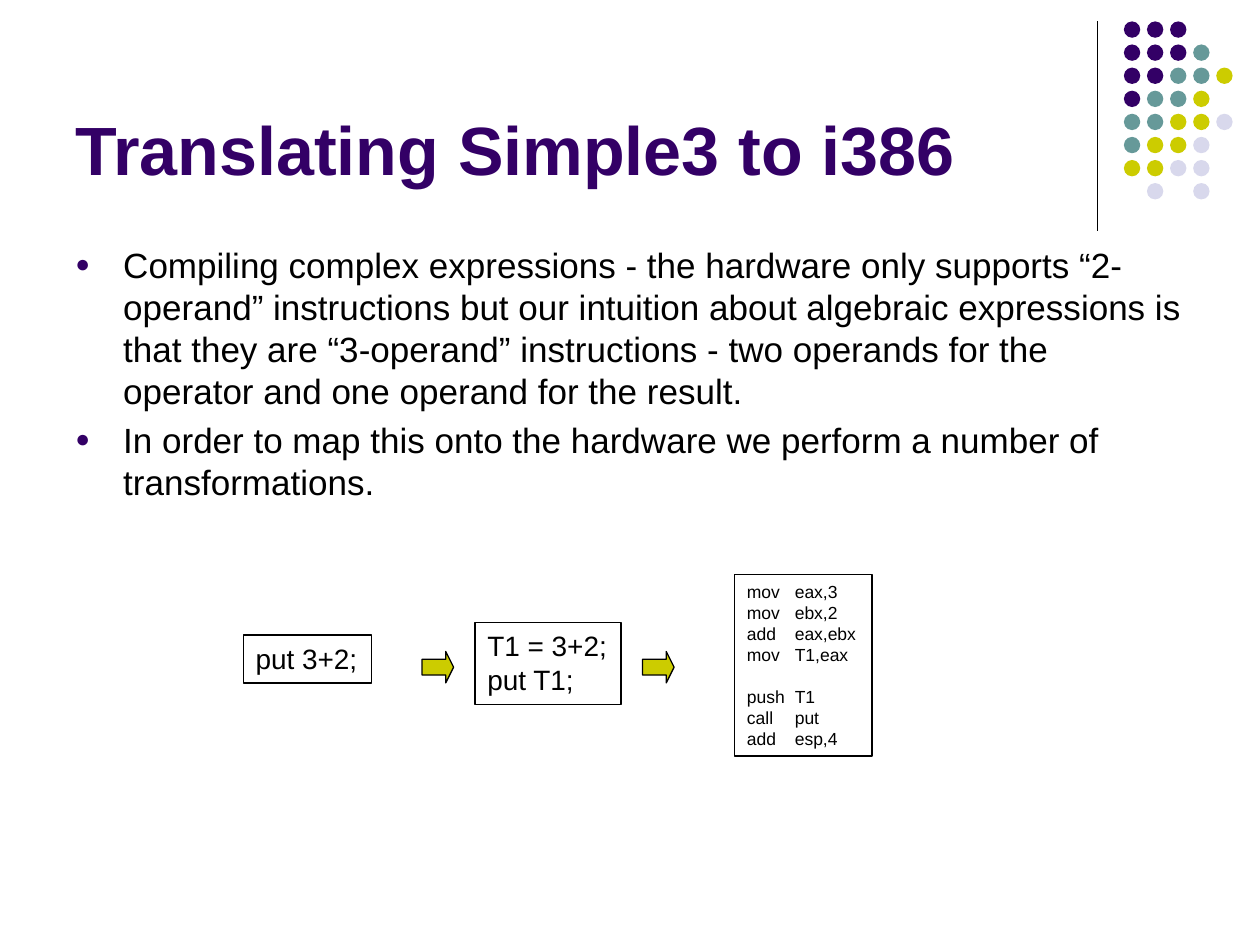
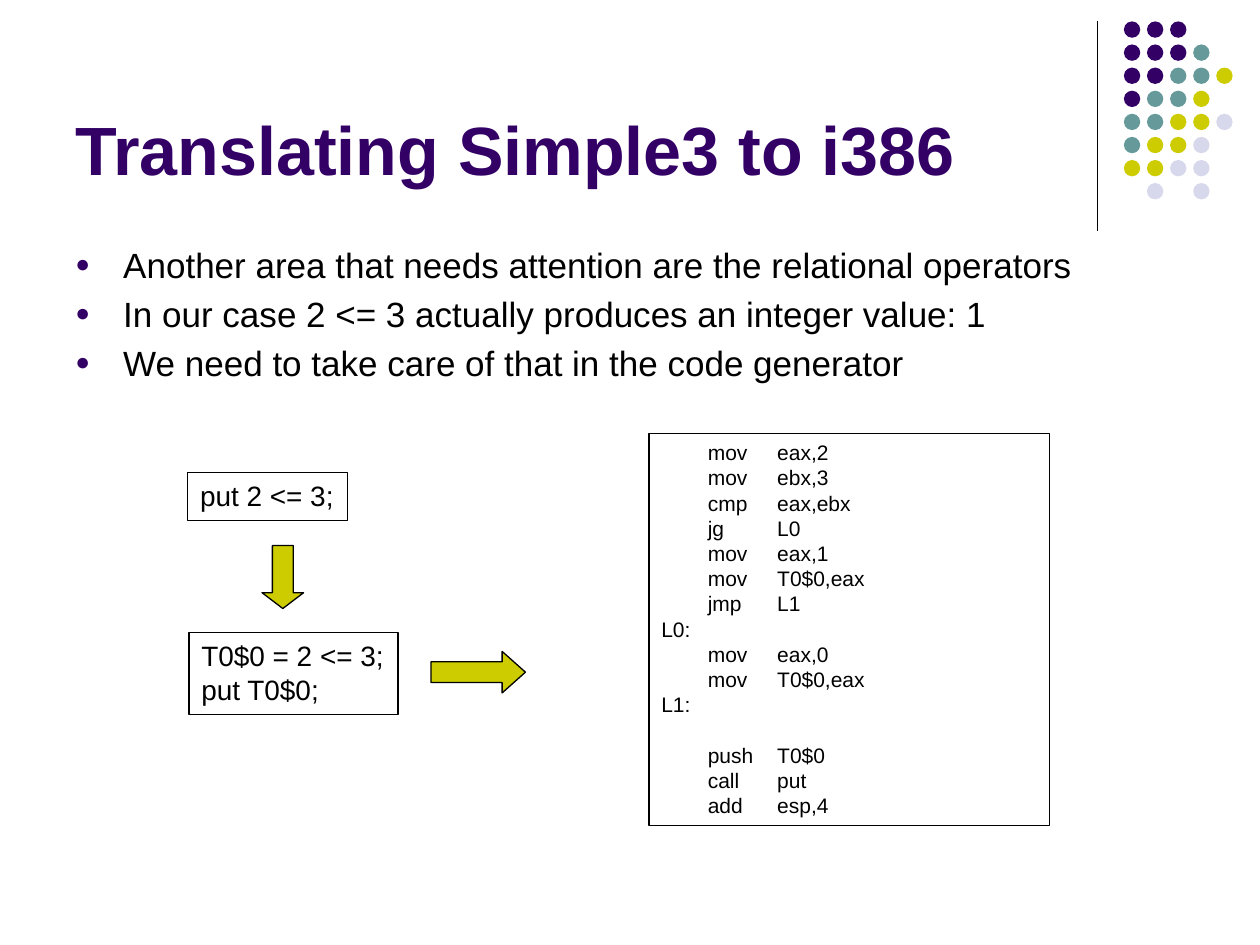
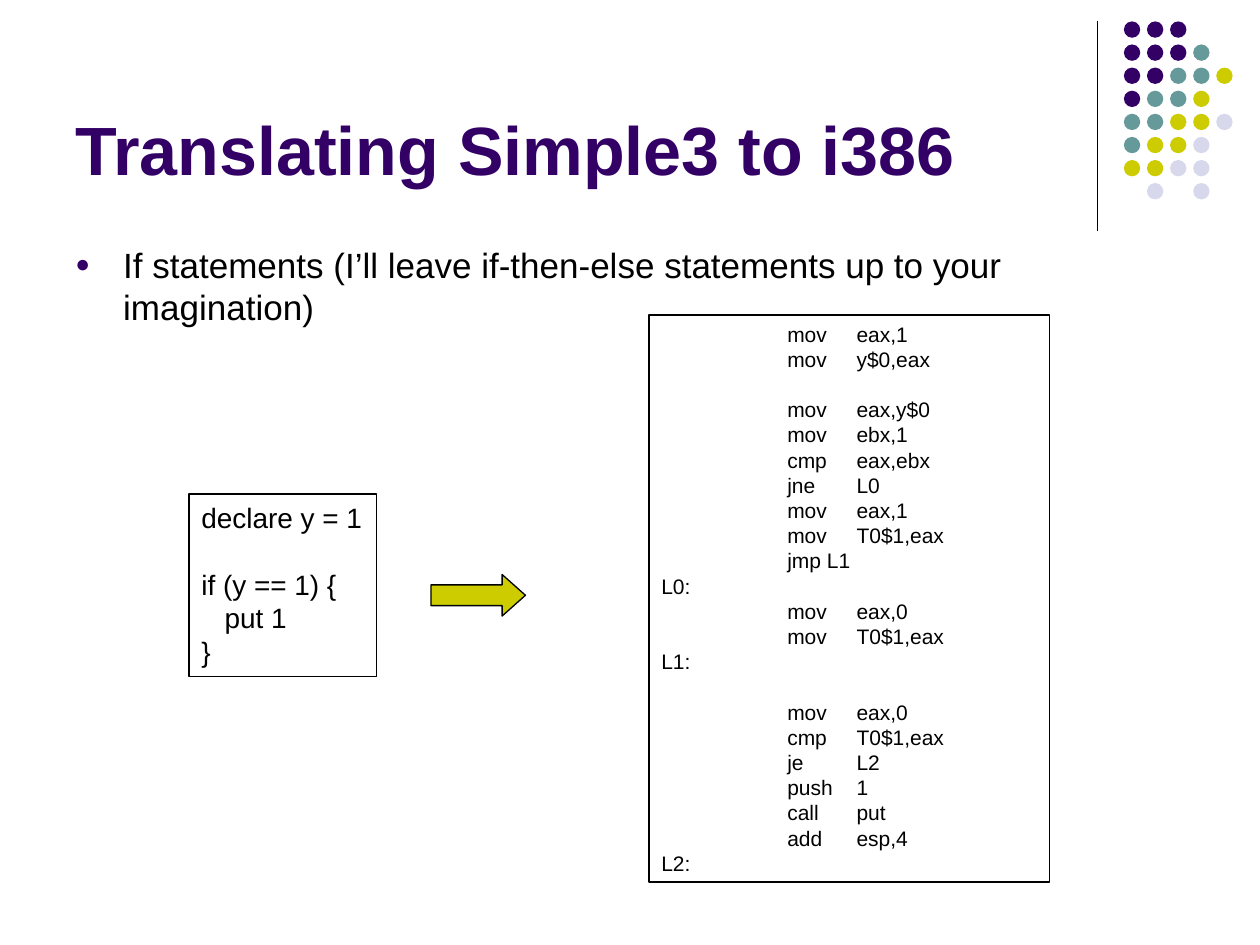
from dataclasses import dataclass

from lxml.etree import SubElement
from pptx import Presentation
from pptx.dml.color import RGBColor as Rgb
from pptx.enum.shapes import MSO_CONNECTOR as Connector, MSO_SHAPE as Shape
from pptx.enum.text import MSO_ANCHOR as Anchor, PP_ALIGN as Align
from pptx.oxml.ns import qn
from pptx.util import Inches, Pt


@dataclass(frozen=True)
class Theme:
    font: str = "Arial"
    purple: str = "330066"
    teal: str = "669999"
    olive: str = "CCCC00"
    lavender: str = "D8D8EC"
    ink: str = "000000"
    title_size: int = 39
    body_size: int = 20
    source_size: int = 16
    assembly_size: int = 12
    small_size: int = 10
    outline: float = 0.75
    line_height: float = 1.2


THEME = Theme()
TITLE = "Translating Simple3 to i386"

# Corner dots: one letter per dot, a point where the grid is empty
DOT_ROWS = ["PPP..", "PPPT.", "PPTTO", "PTTO.", "TTOOL", "TOOL.", "OOLL.", ".L.L."]
DOT_COLORS = {"P": THEME.purple, "T": THEME.teal, "O": THEME.olive, "L": THEME.lavender}
DOT_LEFT, DOT_TOP, DOT_SIZE, DOT_PITCH = 8.92, 0.17, 0.13, 0.55 / 3

# Assembly listings; each tab leads to a stop of its listing box
SUM_ASSEMBLY = [
    "mov\teax,3", "mov\tebx,2", "add\teax,ebx", "mov\tT1,eax", "",
    "push\tT1", "call\tput", "add\tesp,4",
]
RELATION_ASSEMBLY = [
    "        mov\teax,2", "        mov\tebx,3", "        cmp\teax,ebx",
    "        jg\tL0", "        mov\teax,1", "        mov\tT0$0,eax",
    "        jmp\tL1",
    "L0:", "        mov\teax,0", "        mov\tT0$0,eax",
    "L1:", "", "        push\tT0$0", "        call\tput", "        add\tesp,4",
]
IF_ASSEMBLY = [
    "\tmov\teax,1", "\tmov\ty$0,eax", "",
    "\tmov\teax,y$0", "\tmov\tebx,1", "\tcmp\teax,ebx", "\tjne\tL0",
    "\tmov\teax,1", "\tmov\tT0$1,eax", "\tjmp L1",
    "L0:", "\tmov\teax,0", "\tmov\tT0$1,eax",
    "L1:", "", "\tmov\teax,0", "\tcmp\tT0$1,eax", "\tje\tL2",
    "\tpush\t1", "\tcall\tput", "\tadd\tesp,4",
    "L2:",
]


def add_run(paragraph, text, size, color=THEME.ink, bold=False):
    run = paragraph.add_run()
    run.text = text
    run.font.name = THEME.font
    run.font.size = Pt(size)
    run.font.bold = bold
    run.font.color.rgb = Rgb.from_string(color)


def add_paragraph(frame, index):
    return frame.add_paragraph() if index else frame.paragraphs[0]


def add_outlined(slide, kind, box):
    shape = slide.shapes.add_shape(kind, *map(Inches, box))
    shape.shadow.inherit = False
    shape.line.color.rgb = Rgb.from_string(THEME.ink)
    shape.line.width = Pt(THEME.outline)
    return shape


def add_corner(slide):
    rule = slide.shapes.add_connector(
        Connector.STRAIGHT, Inches(8.71), Inches(0.17), Inches(8.71), Inches(1.83))
    rule.line.color.rgb = Rgb.from_string(THEME.ink)
    rule.line.width = Pt(THEME.outline)
    SubElement(rule._element.spPr, qn("a:effectLst"))

    dots = slide.shapes.add_group_shape()
    for row, letters in enumerate(DOT_ROWS):
        for column, letter in enumerate(letters):
            if letter not in DOT_COLORS:
                continue
            dot = dots.shapes.add_shape(
                Shape.OVAL,
                Inches(DOT_LEFT + column * DOT_PITCH),
                Inches(DOT_TOP + row * DOT_PITCH),
                Inches(DOT_SIZE), Inches(DOT_SIZE))
            dot.shadow.inherit = False
            dot.fill.solid()
            dot.fill.fore_color.rgb = Rgb.from_string(DOT_COLORS[letter])
            dot.line.fill.background()


def add_title(slide):
    title = slide.shapes.add_textbox(Inches(0.5), Inches(0.13), Inches(8.25), Inches(1.42))
    frame = title.text_frame
    frame.word_wrap = True
    frame.vertical_anchor = Anchor.BOTTOM
    add_run(frame.paragraphs[0], TITLE, THEME.title_size, THEME.purple, bold=True)


def add_bullet_mark(paragraph):
    props = paragraph._p.get_or_add_pPr()
    props.set("marL", str(Inches(0.38)))
    props.set("indent", str(-Inches(0.38)))
    color = SubElement(props, qn("a:buClr"))
    SubElement(color, qn("a:srgbClr"), val=THEME.purple)
    SubElement(props, qn("a:buSzPct"), val="70000")
    SubElement(props, qn("a:buFont"), typeface=THEME.font)
    SubElement(props, qn("a:buChar"), char="●")


def add_bullets(slide, points, height):
    body = slide.shapes.add_textbox(Inches(0.5), Inches(1.88), Inches(9), Inches(height))
    frame = body.text_frame
    frame.word_wrap = True
    for index, point in enumerate(points):
        paragraph = add_paragraph(frame, index)
        add_bullet_mark(paragraph)
        if index:
            paragraph.space_before = Pt(THEME.body_size * 0.2)
        add_run(paragraph, point, THEME.body_size)


def add_tab_stops(paragraph, stops):
    tabs = SubElement(paragraph._p.get_or_add_pPr(), qn("a:tabLst"))
    for stop in stops:
        SubElement(tabs, qn("a:tab"), pos=str(Inches(stop)), algn="l")


def add_code(slide, lines, box, size=THEME.source_size, stops=(), wrap=False):
    """Draw a framed listing; an empty line becomes space before the next one."""
    code = add_outlined(slide, Shape.RECTANGLE, box)
    code.fill.background()
    frame = code.text_frame
    frame.word_wrap = wrap
    frame.vertical_anchor = Anchor.TOP
    after_gap = False
    for index, line in enumerate(lines):
        if not line:
            after_gap = True
            continue
        paragraph = add_paragraph(frame, index)
        paragraph.alignment = Align.LEFT
        if stops:
            add_tab_stops(paragraph, stops)
        if after_gap:
            paragraph.space_before = Pt(size * THEME.line_height)
            after_gap = False
        add_run(paragraph, line, size)


def add_arrow(slide, kind, box, head):
    arrow = add_outlined(slide, kind, box)
    arrow.fill.solid()
    arrow.fill.fore_color.rgb = Rgb.from_string(THEME.olive)
    arrow.adjustments[0] = 0.5
    arrow.adjustments[1] = head


def add_base_slide(deck, points, body_height=1.54):
    slide = deck.slides.add_slide(deck.slide_layouts[6])
    add_corner(slide)
    add_title(slide)
    add_bullets(slide, points, body_height)
    return slide


def add_expressions_slide(deck):
    slide = add_base_slide(deck, [
        "Compiling complex expressions - the hardware only supports “2-operand” "
        "instructions but our intuition about algebraic expressions is that they are "
        "“3-operand” instructions - two operands for the operator and one operand "
        "for the result.",
        "In order to map this onto the hardware we perform a number of transformations.",
    ], body_height=2.2)
    add_code(slide, ["put 3+2;"], (1.93, 5.04, 1.02, 0.38))
    add_code(slide, ["T1 = 3+2;", "put T1;"], (3.77, 4.94, 1.16, 0.65))
    for left in (3.35, 5.1):
        add_arrow(slide, Shape.RIGHT_ARROW, (left, 5.17, 0.25, 0.25), 0.25)
    add_code(slide, SUM_ASSEMBLY, (5.83, 4.56, 1.09, 1.44), THEME.small_size, [0.38])


def add_relations_slide(deck):
    slide = add_base_slide(deck, [
        "Another area that needs attention are the relational operators",
        "In our case 2 <= 3 actually produces an integer value: 1",
        "We need to take care of that in the code generator",
    ])
    add_code(slide, ["put 2 <= 3;"], (1.49, 3.75, 1.27, 0.38))
    add_arrow(slide, Shape.DOWN_ARROW, (2.08, 4.33, 0.33, 0.5), 0.38)
    add_code(slide, ["T0$0 = 2 <= 3;", "put T0$0;"], (1.5, 5.02, 1.66, 0.65))
    add_arrow(slide, Shape.RIGHT_ARROW, (3.42, 5.17, 0.75, 0.33), 0.56)
    add_code(slide, RELATION_ASSEMBLY, (5.15, 3.44, 3.18, 3.11),
             THEME.assembly_size, [0.92], wrap=True)


def add_if_slide(deck):
    slide = add_base_slide(deck, [
        "If statements (I’ll leave if-then-else statements up to your imagination)",
    ])
    add_code(slide, ["declare y = 1", "", "if (y == 1) {", "   put 1", "}"],
             (1.5, 3.92, 1.49, 1.45))
    add_arrow(slide, Shape.RIGHT_ARROW, (3.42, 4.56, 0.75, 0.33), 0.56)
    add_code(slide, IF_ASSEMBLY, (5.15, 2.5, 3.18, 4.5),
             THEME.assembly_size, [1, 1.55], wrap=True)


def main():
    deck = Presentation()
    deck.slide_width, deck.slide_height = Inches(10), Inches(7.5)
    add_expressions_slide(deck)
    add_relations_slide(deck)
    add_if_slide(deck)
    deck.save("out.pptx")


if __name__ == "__main__":
    main()
